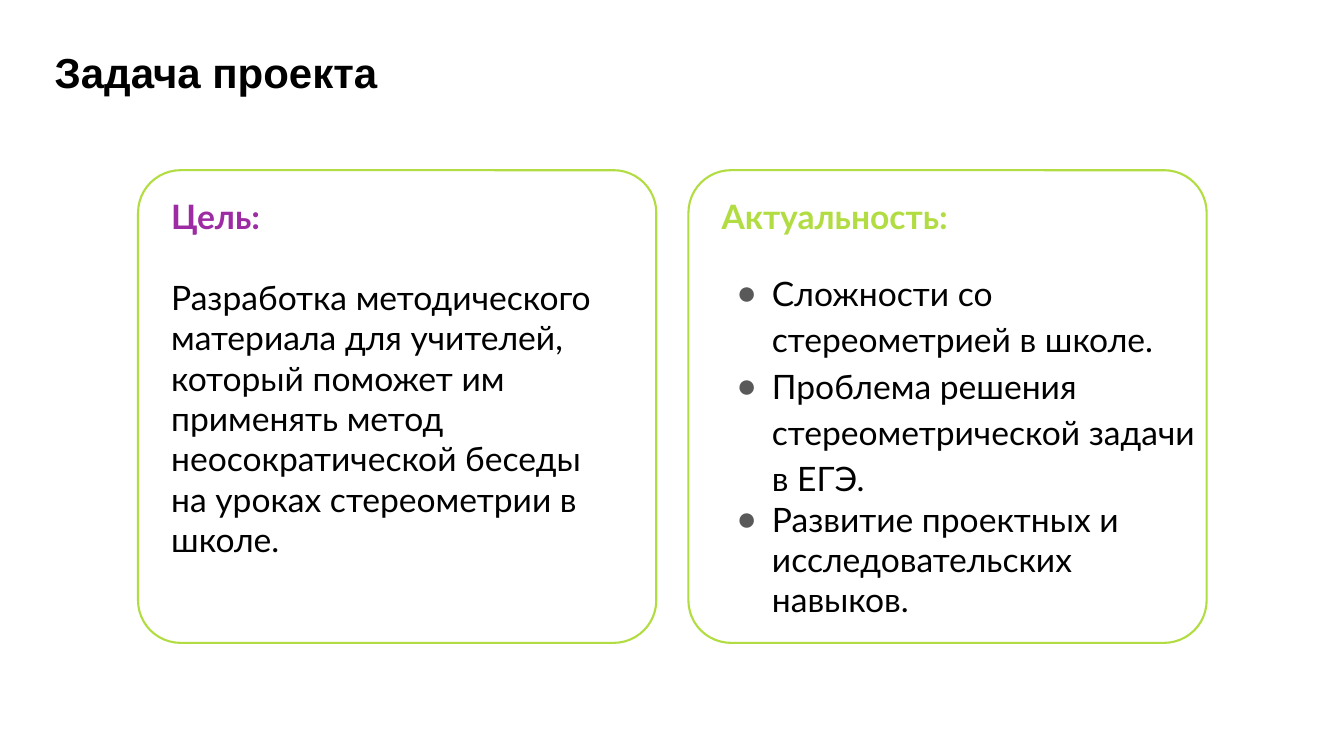
from dataclasses import dataclass

from lxml import etree
from pptx import Presentation
from pptx.dml.color import RGBColor
from pptx.enum.shapes import MSO_SHAPE
from pptx.enum.text import MSO_ANCHOR, MSO_AUTO_SIZE, PP_ALIGN
from pptx.oxml.ns import qn
from pptx.util import Cm, Pt

ROUNDED = MSO_SHAPE.ROUNDED_RECTANGLE
TOP = MSO_ANCHOR.TOP
NO_FIT = MSO_AUTO_SIZE.NONE
LEFT = PP_ALIGN.LEFT

COLORS = {"text": "000000", "purple": "9D2BA4", "green": "B2DD42", "bullet": "595959"}
CARD_LEFT, CARD_TOP, CARD_WIDTH, CARD_HEIGHT = 3.48, 4.29, 13.06, 11.91
CARD_PITCH = 13.87
TEXT_DX, TEXT_DY = 0.58, 0.53


@dataclass
class Line:
    text: str
    bulleted: bool = False
    spacing: float = 1.0


@dataclass
class Card:
    heading: str
    color: str
    gap: float
    width: float
    height: float
    lines: list[Line]


CARDS = [
    Card("Цель:", "purple", 28.8, 11.81, 10.52, [
        Line("Разработка методического материала для учителей, который поможет им "
             "применять метод неосократической беседы на уроках стереометрии в школе."),
    ]),
    Card("Актуальность:", "green", 21.6, 12.7, 11.81, [
        Line("Сложности со стереометрией в школе.", True, 1.15),
        Line("Проблема решения стереометрической задачи в ЕГЭ.", True, 1.15),
        Line("Развитие проектных и исследовательских навыков.", True),
    ]),
]


def rgb(name: str) -> RGBColor:
    return RGBColor.from_string(COLORS[name])


def place(s, left: float, top: float, width: float, height: float) -> None:
    s.left, s.top, s.width, s.height = Cm(left), Cm(top), Cm(width), Cm(height)
    tf = s.text_frame
    tf.word_wrap = True
    tf.auto_size = NO_FIT
    tf.vertical_anchor = TOP


def set_bullet(p, bulleted: bool) -> None:
    pPr = p._p.get_or_add_pPr()
    pPr.set("marL", str(Cm(1.27) if bulleted else 0))
    pPr.set("indent", str(Cm(-0.89) if bulleted else 0))
    if bulleted:
        color = etree.SubElement(pPr, qn("a:buClr"))
        etree.SubElement(color, qn("a:srgbClr"), val=COLORS["bullet"])
        etree.SubElement(pPr, qn("a:buChar"), char="●")
    else:
        etree.SubElement(pPr, qn("a:buNone"))


def format_runs(p, font: str, size: float, color: str, bold: bool) -> None:
    p.alignment = LEFT
    p.space_before = Pt(0)
    for r in p.runs:
        r.font.name = font
        r.font.size = Pt(size)
        r.font.bold = bold
        r.font.color.rgb = rgb(color)


def add_frame(slide, left: float) -> None:
    s = slide.shapes.add_shape(
        ROUNDED, Cm(left), Cm(CARD_TOP), Cm(CARD_WIDTH), Cm(CARD_HEIGHT))
    s.adjustments[0] = 0.09
    s.shadow.inherit = False
    s.fill.background()
    s.line.color.rgb = rgb("green")
    s.line.width = Pt(1.5)


def fill_body(s, card: Card) -> None:
    tf = s.text_frame
    tf.text = card.heading
    p = tf.paragraphs[0]
    set_bullet(p, False)
    format_runs(p, "Lato", 24, card.color, True)
    p.space_after = Pt(card.gap)
    for line in card.lines:
        p = tf.add_paragraph()
        p.text = line.text
        set_bullet(p, line.bulleted)
        p.line_spacing = line.spacing
        format_runs(p, "Lato", 24, "text", False)


def main() -> None:
    prs = Presentation()
    prs.slide_width, prs.slide_height = Cm(33.87), Cm(19.05)
    slide = prs.slides.add_slide(prs.slide_layouts.get_by_name("Two Content"))

    title = slide.shapes.title
    place(title, 1.12, 1.04, 14.4, 1.55)
    title.text_frame.text = "Задача проекта"
    format_runs(title.text_frame.paragraphs[0], "Arial", 30, "text", True)

    for i, card in enumerate(CARDS):
        left = CARD_LEFT + i * CARD_PITCH
        add_frame(slide, left)
        body = slide.placeholders[i + 1]
        place(body, left + TEXT_DX, CARD_TOP + TEXT_DY, card.width, card.height)
        fill_body(body, card)

    prs.save("out.pptx")


if __name__ == "__main__":
    main()
